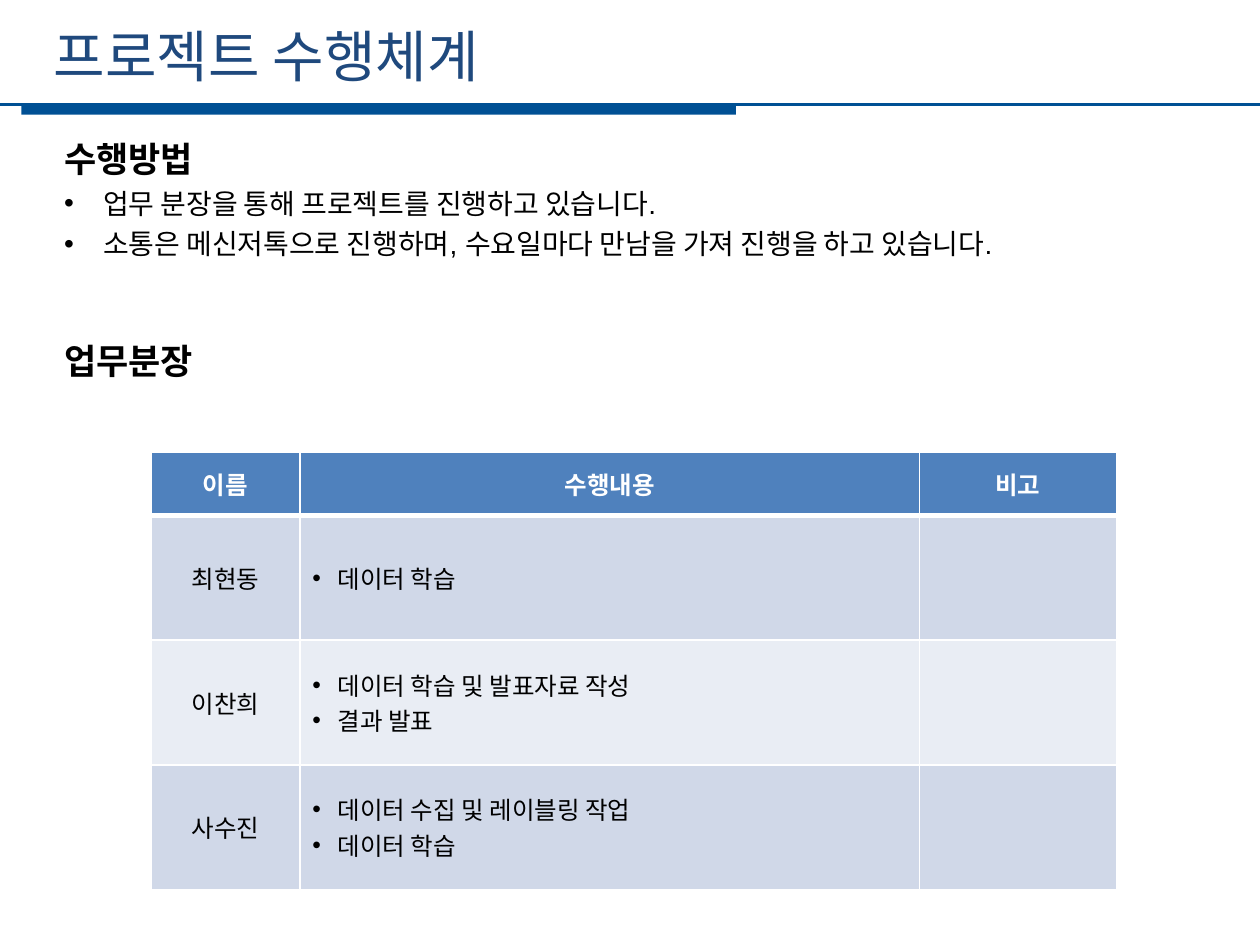
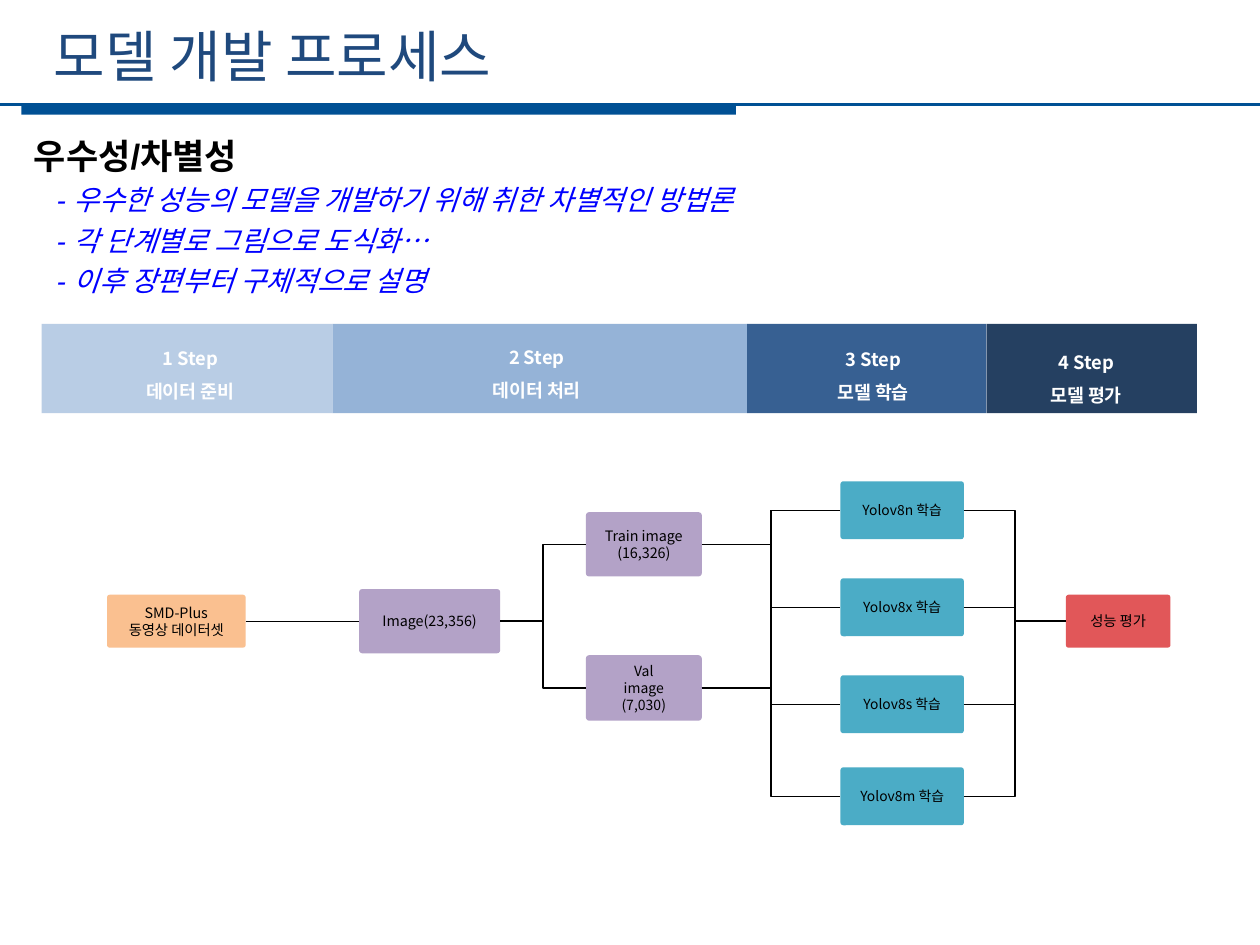
from itertools import pairwise

from lxml import etree
from pptx import Presentation
from pptx.dml.color import RGBColor
from pptx.enum.shapes import MSO_CONNECTOR as LINK, MSO_SHAPE as SHAPE
from pptx.enum.text import MSO_ANCHOR as ANCHOR, PP_ALIGN as ALIGN
from pptx.oxml.ns import qn
from pptx.util import Inches, Pt

NAVY = RGBColor(0x1F, 0x49, 0x7D)
BAND = RGBColor(0x00, 0x50, 0x94)
BLACK = RGBColor(0x00, 0x00, 0x00)
WHITE = RGBColor(0xFF, 0xFF, 0xFF)
BLUE = RGBColor(0x00, 0x00, 0xFF)
HEADER = RGBColor(0x4F, 0x81, 0xBD)
ROW_DARK = RGBColor(0xD0, 0xD8, 0xE8)
ROW_LIGHT = RGBColor(0xE9, 0xED, 0xF4)
ORANGE = RGBColor(0xFA, 0xC0, 0x90)
PURPLE = RGBColor(0xB3, 0xA2, 0xC7)
TEAL = RGBColor(0x4B, 0xAC, 0xC6)
RED = RGBColor(0xE1, 0x57, 0x59)
STEP_COLORS = [
    RGBColor(0xB9, 0xCD, 0xE5),
    RGBColor(0x95, 0xB3, 0xD7),
    RGBColor(0x37, 0x60, 0x92),
    RGBColor(0x25, 0x40, 0x61),
]
KOREAN = "Noto Sans CJK KR"
LATIN = "Arial"
BODY_LINE = Pt(23)


def write(frame, text, size=14, color=BLACK, font=KOREAN, bold=False, italic=False,
          align=ALIGN.LEFT, spacing=None, before=0, indent=0, hanging=0, bullet=None):
    for line in text.split("\n"):
        para = frame.paragraphs[0] if not frame.text else frame.add_paragraph()
        para.alignment = align
        para.space_before = Pt(before)
        if spacing:
            para.line_spacing = spacing
        properties = para._p.get_or_add_pPr()
        properties.set("marL", str(Inches(indent)))
        properties.set("indent", str(-Inches(hanging)))
        if bullet:
            etree.SubElement(properties, qn("a:buFont"), typeface=LATIN)
            etree.SubElement(properties, qn("a:buChar"), char=bullet)
        span = para.add_run()
        span.text = line
        span.font.size = Pt(size)
        span.font.name = font
        span.font.bold = bold
        span.font.italic = italic
        span.font.color.rgb = color
        etree.SubElement(span._r.get_or_add_rPr(), qn("a:ea"), typeface=KOREAN)


def add_text_box(page, left, top, width, height, wrap=True):
    box = page.shapes.add_textbox(Inches(left), Inches(top), Inches(width), Inches(height))
    box.text_frame.word_wrap = wrap
    return box.text_frame


def add_block(page, left, top, width, height, color, kind=SHAPE.RECTANGLE):
    block = page.shapes.add_shape(kind, Inches(left), Inches(top), Inches(width), Inches(height))
    block.shadow.inherit = False
    block.fill.solid()
    block.fill.fore_color.rgb = color
    block.line.fill.background()
    return block


def add_line(page, kind, color, width, start=(0, 0), end=(0, 0)):
    line = page.shapes.add_connector(kind, *map(Inches, start + end))
    line.line.color.rgb = color
    line.line.width = Pt(width)
    etree.SubElement(line._element.spPr, qn("a:effectLst"))
    return line


def add_node(page, text, left, middle, width, height, color, size=8.2):
    node = add_block(page, left, middle - height / 2, width, height, color,
                     SHAPE.ROUNDED_RECTANGLE)
    node.adjustments[0] = 0.05
    frame = node.text_frame
    frame.margin_left = frame.margin_right = Inches(0.05)
    frame.margin_top = frame.margin_bottom = 0
    frame.vertical_anchor = ANCHOR.MIDDLE
    write(frame, text, size=size, align=ALIGN.CENTER)
    return node


def link_nodes(page, source, target, kind=LINK.ELBOW):
    link = add_line(page, kind, BLACK, 0.75)
    link.begin_connect(source, 3)
    link.end_connect(target, 1)


def add_page(deck, title):
    page = deck.slides.add_slide(deck.slide_layouts[6])
    add_block(page, 0.17, 0.83, 5.67, 0.08, BAND)
    add_line(page, LINK.STRAIGHT, BAND, 1.25, (0, 0.83), (10, 0.83))
    write(add_text_box(page, 0.33, 0.12, 8.96, 0.64), title, size=32, color=NAVY)
    return page


def set_borders(cell, top, bottom):
    properties = cell._tc.get_or_add_tcPr()
    for side, width in {"L": 1, "R": 1, "T": top, "B": bottom}.items():
        border = etree.SubElement(properties, qn(f"a:ln{side}"), w=str(Pt(width)))
        fill = etree.SubElement(border, qn("a:solidFill"))
        etree.SubElement(fill, qn("a:srgbClr"), val=str(WHITE))


def add_duty_table(page, rows, widths, heights):
    table = page.shapes.add_table(len(rows), len(widths), Inches(1.2), Inches(3.59),
                                  Inches(sum(widths)), Inches(sum(heights))).table
    for column, width in zip(table.columns, widths):
        column.width = Inches(width)
    for row, height in zip(table.rows, heights):
        row.height = Inches(height)
    for i, texts in enumerate(rows):
        for j, text in enumerate(texts):
            cell = table.cell(i, j)
            set_borders(cell, top=3 if i == 1 else 1, bottom=3 if i == 0 else 1)
            cell.fill.solid()
            cell.fill.fore_color.rgb = HEADER if i == 0 else (ROW_LIGHT, ROW_DARK)[i % 2]
            cell.vertical_anchor = ANCHOR.MIDDLE
            if not text:
                continue
            if i == 0:
                style = dict(color=WHITE, bold=True, align=ALIGN.CENTER)
            elif j == 1:
                style = dict(indent=0.2, hanging=0.2, bullet="•")
            else:
                style = dict(align=ALIGN.CENTER)
            write(cell.text_frame, text, **style)


def build_organization(deck):
    page = add_page(deck, "프로젝트 수행체계")
    body = add_text_box(page, 0.41, 1.06, 9.12, 2.04)
    heading = dict(size=20, font=LATIN, bold=True, spacing=BODY_LINE)
    write(body, "수행방법", **heading)
    write(body, "업무 분장을 통해 프로젝트를 진행하고 있습니다.\n"
                "소통은 메신저톡으로 진행하며, 수요일마다 만남을 가져 진행을 하고 있습니다.",
          size=16, font=LATIN, spacing=BODY_LINE, indent=0.31, hanging=0.31, bullet="•")
    write(body, "업무분장", before=46, **heading)
    rows = [
        ("이름", "수행내용", "비고"),
        ("최현동", "데이터 학습", ""),
        ("이찬희", "데이터 학습 및 발표자료 작성\n결과 발표", ""),
        ("사수진", "데이터 수집 및 레이블링 작업\n데이터 학습", ""),
    ]
    add_duty_table(page, rows, [1.18, 4.92, 1.56], [0.5] + [0.99] * 3)


def add_steps(page):
    edges = [0.33, 2.64, 5.93, 7.83, 9.5]
    for (left, right), color in zip(pairwise(edges), STEP_COLORS):
        add_block(page, left, 2.57, right - left, 0.71, color)
    labels = [("데이터 준비", 1.51, 2.62), ("데이터 처리", 4.26, 2.61),
              ("모델 학습", 6.93, 2.63), ("모델 평가", 8.62, 2.65)]
    for number, (name, center, top) in enumerate(labels, 1):
        frame = add_text_box(page, center - 0.49, top, 0.98, 0.6, wrap=False)
        write(frame, f"{number} Step\n{name}", size=10.5, color=WHITE, bold=True,
              align=ALIGN.CENTER, spacing=1.5)


def add_flow(page):
    axis = 4.93
    dataset = add_node(page, "SMD-Plus\n동영상 데이터셋", 0.85, axis, 1.1, 0.42, ORANGE)
    images = add_node(page, "Image(23,356)", 2.85, axis, 1.12, 0.51, PURPLE)
    train = add_node(page, "Train image\n(16,326)", 4.65, 4.32, 0.92, 0.51, PURPLE)
    val = add_node(page, "Val\nimage\n(7,030)", 4.65, 5.46, 0.92, 0.52, PURPLE, size=8)
    score = add_node(page, "성능 평가", 8.46, axis, 0.83, 0.42, RED)

    link_nodes(page, dataset, images, LINK.STRAIGHT)
    link_nodes(page, images, train)
    link_nodes(page, images, val)
    for variant, middle in zip("nxsm", [4.05, 4.82, 5.59, 6.32]):
        model = add_node(page, f"Yolov8{variant} 학습", 6.67, middle, 0.98, 0.46, TEAL, size=7.9)
        if variant == "n":
            link_nodes(page, train, model)
        link_nodes(page, val, model)
        link_nodes(page, model, score)


def build_process(deck):
    page = add_page(deck, "모델 개발 프로세스")
    body = add_text_box(page, 0.17, 1.03, 9.52, 1.36)
    write(body, "우수성/차별성", size=20, font=LATIN, bold=True, spacing=BODY_LINE)
    write(body, "- 우수한 성능의 모델을 개발하기 위해 취한 차별적인 방법론\n"
                "- 각 단계별로 그림으로 도식화…\n"
                "- 이후 장편부터 구체적으로 설명",
          size=16, color=BLUE, font=LATIN, italic=True, spacing=BODY_LINE, indent=0.18)
    add_steps(page)
    add_flow(page)


def main():
    deck = Presentation()
    deck.slide_width, deck.slide_height = Inches(10), Inches(7.5)
    build_organization(deck)
    build_process(deck)
    deck.save("out.pptx")


if __name__ == "__main__":
    main()
